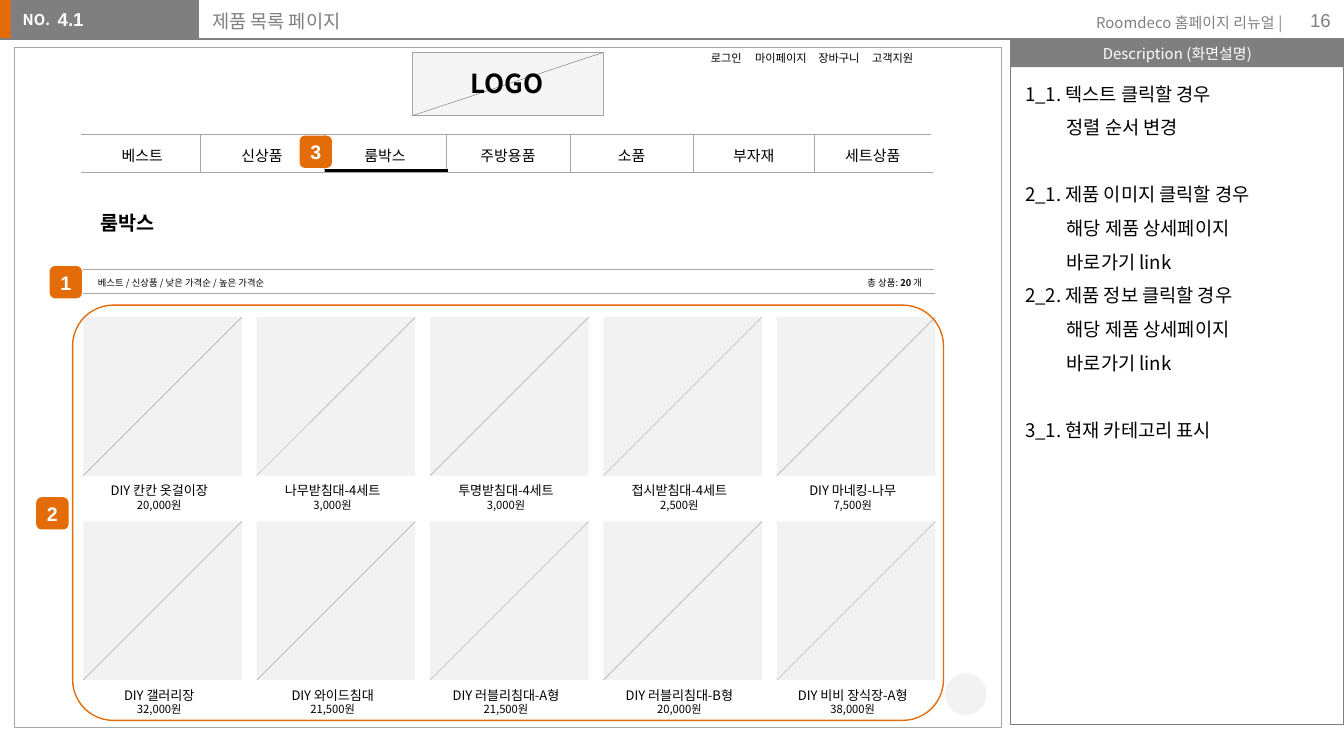
from lxml import etree
from pptx import Presentation
from pptx.dml.color import RGBColor
from pptx.enum.shapes import MSO_CONNECTOR, MSO_SHAPE
from pptx.enum.text import MSO_ANCHOR, PP_ALIGN
from pptx.oxml.ns import qn
from pptx.util import Inches, Pt

RECTANGLE = MSO_SHAPE.RECTANGLE
ROUNDED = MSO_SHAPE.ROUNDED_RECTANGLE
OVAL = MSO_SHAPE.OVAL
STRAIGHT = MSO_CONNECTOR.STRAIGHT
LEFT, CENTER, RIGHT = PP_ALIGN.LEFT, PP_ALIGN.CENTER, PP_ALIGN.RIGHT
TOP, MIDDLE = MSO_ANCHOR.TOP, MSO_ANCHOR.MIDDLE

ORANGE = RGBColor(0xE3, 0x6C, 0x09)
FRAME_ORANGE = RGBColor(0xE4, 0x6C, 0x0A)
GRAY = RGBColor(0x7F, 0x7F, 0x7F)
BORDER = RGBColor(0xA5, 0xA5, 0xA5)
RULE = RGBColor(0xA6, 0xA6, 0xA6)
PALE = RGBColor(0xF2, 0xF2, 0xF2)
WHITE = RGBColor(0xFF, 0xFF, 0xFF)
BLACK = RGBColor(0, 0, 0)
KOREAN, LATIN = "Noto Sans CJK KR", "Arial"


def write_text(frame, text, size=8, color=BLACK, bold=False, font=KOREAN, align=LEFT,
               spacing=None, before=0, indent=0, tabs=(), same_line=False):
    paragraph = frame.paragraphs[-1]
    if paragraph.runs and not same_line:
        paragraph = frame.add_paragraph()
    if not same_line:
        paragraph.alignment = align
        paragraph.line_spacing = spacing
        paragraph.space_before = Pt(before)
        properties = paragraph._p.get_or_add_pPr()
        if indent:
            properties.set("marL", str(Inches(indent)))
            properties.set("indent", "0")
        if tabs:
            tab_list = etree.SubElement(properties, qn("a:tabLst"))
            for position in tabs:
                etree.SubElement(tab_list, qn("a:tab"), pos=str(Inches(position)), algn="l")
    run = paragraph.add_run()
    run.text = text
    run.font.size = Pt(size)
    run.font.bold = bold
    run.font.name = font
    run.font.color.rgb = color
    east_asian = etree.SubElement(run._r.get_or_add_rPr(), qn("a:ea"))
    east_asian.set("typeface", font)


class Wireframe:
    """Draws styled elements on the current slide."""

    def __init__(self, slide):
        self.slide = slide

    def shape(self, kind, left, top, width, height, fill=None, line=None,
              weight=0.25, opacity=None, radius=None):
        shape = self.slide.shapes.add_shape(
            kind, Inches(left), Inches(top), Inches(width), Inches(height))
        shape.shadow.inherit = False
        if fill is None:
            shape.fill.background()
        else:
            shape.fill.solid()
            shape.fill.fore_color.rgb = fill
        if opacity is not None:
            color = shape._element.spPr.find(qn("a:solidFill"))[0]
            etree.SubElement(color, qn("a:alpha"), val=str(opacity * 1000))
        if line is None:
            shape.line.fill.background()
        else:
            shape.line.color.rgb = line
            shape.line.width = Pt(weight)
        if radius is not None:
            shape.adjustments[0] = radius
        return shape

    def line(self, x1, y1, x2, y2, color=RULE, weight=0.25):
        connector = self.slide.shapes.add_connector(
            STRAIGHT, Inches(x1), Inches(y1), Inches(x2), Inches(y2))
        connector.line.color.rgb = color
        connector.line.width = Pt(weight)
        etree.SubElement(connector._element.spPr, qn("a:effectLst"))

    def set_frame(self, frame, anchor, side=0.1, edge=0.05, wrap=True):
        frame.word_wrap = wrap
        frame.vertical_anchor = anchor
        frame.margin_left = frame.margin_right = Inches(side)
        frame.margin_top = frame.margin_bottom = Inches(edge)

    def text(self, left, top, width, height, text, anchor=TOP, side=0.1, edge=0.05,
             wrap=True, **style):
        box = self.slide.shapes.add_textbox(
            Inches(left), Inches(top), Inches(width), Inches(height))
        self.set_frame(box.text_frame, anchor, side, edge, wrap)
        write_text(box.text_frame, text, **style)
        return box.text_frame

    def badge(self, left, top, number):
        shape = self.shape(ROUNDED, left, top, 0.24, 0.24, ORANGE, radius=0.167)
        self.set_frame(shape.text_frame, MIDDLE, side=0)
        write_text(shape.text_frame, number, size=10.5, color=WHITE, bold=True,
                   font=LATIN, align=CENTER)

    def product(self, left, top, name, price):
        size = 1.18
        self.shape(RECTANGLE, left, top, size, size, PALE)
        self.line(left, top + size, left + size, top)
        label = self.text(left - 0.02, top + size, 1.17, 0.32, name, anchor=MIDDLE,
                          size=7, align=CENTER)
        write_text(label, price, size=6, align=CENTER)


presentation = Presentation()
presentation.slide_width = Inches(10)
presentation.slide_height = Inches(10) * 9 // 16
page = Wireframe(presentation.slides.add_slide(presentation.slide_layouts[6]))

page.shape(RECTANGLE, -0.01, 0, 0.12, 0.29, ORANGE)
page.shape(RECTANGLE, 0.08, 0, 1.4, 0.29, GRAY)
page.text(0.07, 0.03, 0.45, 0.24, "NO.", color=WHITE, bold=True)
page.text(0.43, 0.01, 1.1, 0.31, "4.1", side=0, size=10, color=WHITE, bold=True, font=LATIN)
page.text(1.48, -0.01, 5.42, 0.32, "제품 목록 페이지", edge=0.1, size=10, color=GRAY)
page.line(0, 0.29, 7.66, 0.29, GRAY, 0.75)
page.text(7.9, 0.05, 1.74, 0.24, "Roomdeco 홈페이지 리뉴얼 |", color=GRAY, align=RIGHT)
page.text(9.4, 0, 0.6, 0.3, "16", anchor=MIDDLE, size=10, color=GRAY, font=LATIN, align=RIGHT)

heading = page.shape(RECTANGLE, 7.52, 0.29, 2.48, 0.21, GRAY)
page.set_frame(heading.text_frame, MIDDLE, 0.09, 0.04)
write_text(heading.text_frame, "Description (화면설명)", color=WHITE, align=CENTER)
page.shape(RECTANGLE, 7.52, 0.29, 2.48, 5.1, line=GRAY, weight=0.75)
notes = [
    ("1_1. 텍스트 클릭할 경우", 0, 0),
    ("정렬 순서 변경", 0.31, 0),
    ("2_1. 제품 이미지 클릭할 경우", 0, 18),
    ("해당 제품 상세페이지", 0.31, 0),
    ("바로가기 link", 0.31, 0),
    ("2_2. 제품 정보 클릭할 경우", 0, 0),
    ("해당 제품 상세페이지", 0.31, 0),
    ("바로가기 link", 0.31, 0),
    ("3_1. 현재 카테고리 표시", 0, 18),
]
description = page.text(7.53, 0.48, 2.47, 2.88, notes[0][0], size=10, spacing=1.5)
for note, indent, before in notes[1:]:
    write_text(description, note, size=10, spacing=1.5, indent=indent, before=before)

page.shape(RECTANGLE, 0.11, 0.35, 7.34, 5.06, WHITE, BORDER, opacity=70)
page.text(5.19, 0.33, 1.72, 0.16, "로그인\t마이페이지\t장바구니\t고객지원", size=6,
          tabs=(0.33, 0.8, 1.2))
page.shape(RECTANGLE, 3.07, 0.39, 1.42, 0.47, PALE, BORDER, opacity=70)
page.line(4.49, 0.39, 3.07, 0.86, GRAY)
page.text(3.26, 0.45, 1.03, 0.34, "LOGO", size=14, bold=True, align=CENTER)

categories = ["베스트", "신상품", "룸박스", "주방용품", "소품", "부자재", "세트상품"]
category_edges = [0.63, 1.49, 2.41, 3.32, 4.24, 5.16, 6.06, 6.93]
for category, left, right in zip(categories, category_edges, category_edges[1:]):
    page.text(left, 1.04, right - left, 0.24, category, align=CENTER)
for edge in category_edges[1:-1]:
    page.line(edge, 1, edge, 1.28)
for left, right, y in [(0.6, 6.93, 1), (0.6, 6.94, 1.28), (0.62, 6.95, 2), (0.62, 6.96, 2.18)]:
    page.line(left, y, right, y)
page.line(2.42, 1.27, 3.33, 1.27, BLACK, 1.5)

page.text(0.64, 1.52, 0.62, 0.28, "룸박스", wrap=False, size=10.5, bold=True, align=CENTER)
page.text(0.63, 2.01, 1.65, 0.19, "베스트 / 신상품 / 낮은 가격순 / 높은 가격순", size=5)
total = page.text(6.26, 2.01, 0.7, 0.19, "총 상품: ", size=5, align=RIGHT)
write_text(total, "20 ", size=5, bold=True, same_line=True)
write_text(total, "개", size=5, same_line=True)

products = [
    ("DIY 칸칸 옷걸이장", "20,000원"), ("나무받침대-4세트", "3,000원"),
    ("투명받침대-4세트", "3,000원"), ("접시받침대-4세트", "2,500원"),
    ("DIY 마네킹-나무", "7,500원"), ("DIY 갤러리장", "32,000원"),
    ("DIY 와이드침대", "21,500원"), ("DIY 러블리침대-A형", "21,500원"),
    ("DIY 러블리침대-B형", "20,000원"), ("DIY 비비 장식장-A형", "38,000원"),
]
for index, (name, price) in enumerate(products):
    row, column = divmod(index, 5)
    page.product(0.62 + 1.29 * column, 2.36 + 1.52 * row, name, price)

page.shape(ROUNDED, 0.54, 2.27, 6.48, 3.09, line=FRAME_ORANGE, weight=0.75, radius=0.098)
for left, top, number in [(0.37, 1.98, "1"), (0.27, 3.7, "2"), (2.23, 1.01, "3")]:
    page.badge(left, top, number)
page.shape(OVAL, 7.03, 5.01, 0.31, 0.31, PALE)

presentation.save("out.pptx")
